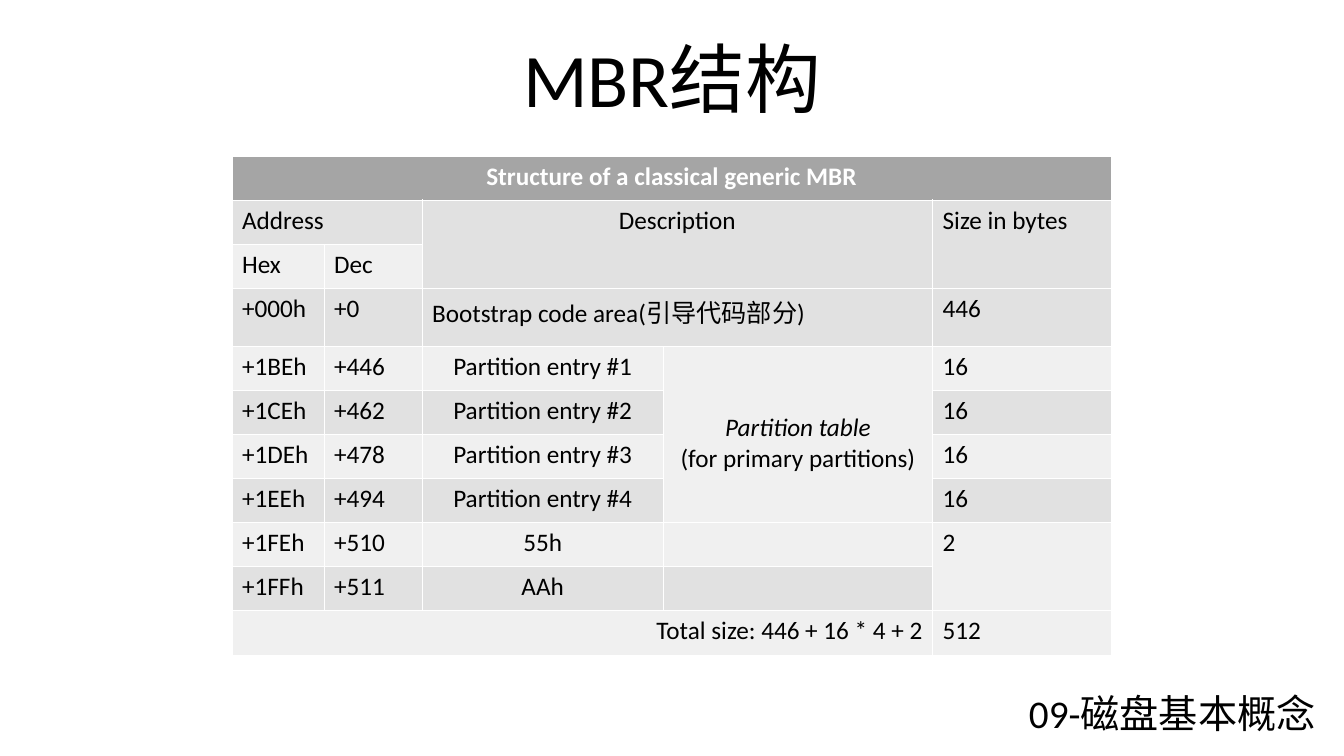
from typing import NamedTuple

from lxml import etree
from pptx import Presentation
from pptx.dml.color import RGBColor
from pptx.enum.text import MSO_ANCHOR, MSO_AUTO_SIZE, PP_ALIGN
from pptx.oxml.ns import qn
from pptx.util import Cm, Pt

LEFT, CENTER, RIGHT = PP_ALIGN.LEFT, PP_ALIGN.CENTER, PP_ALIGN.RIGHT
TOP, BOTTOM = MSO_ANCHOR.TOP, MSO_ANCHOR.BOTTOM
NO_FIT = MSO_AUTO_SIZE.NONE

FONT = "Calibri"
BLACK, WHITE = "000000", "FFFFFF"
HEADER_FILL, ODD_FILL, EVEN_FILL = "A5A5A5", "E1E1E1", "F0F0F0"
THIN, THICK = 0.45, 1.47

COLUMN_WIDTHS = [2.32, 2.47, 6.08, 6.79, 4.5]
ROW_HEIGHT, BOOTSTRAP_HEIGHT = 1.11, 1.46
ROW_COUNT, BOOTSTRAP_ROW = 11, 3


class Caption(NamedTuple):
    text: str
    left: float
    top: float
    width: float
    height: float
    size: int
    anchor: MSO_ANCHOR
    line_spacing: float


class Entry(NamedTuple):
    row: int
    column: int
    text: str
    align: PP_ALIGN = LEFT
    rows: int = 1
    columns: int = 1


CAPTIONS = [
    Caption("09-磁盘基本概念", 25.45, 17.25, 8.2, 1.45, 28, TOP, 1.0),
    Caption("MBR结构", 4.24, 0.62, 25.4, 2.62, 54, BOTTOM, 0.9),
]

# Address, description and size of each region of the record
REGIONS = [
    ("+000h", "+0", "", "446"),
    ("+1BEh", "+446", "Partition entry #1", "16"),
    ("+1CEh", "+462", "Partition entry #2", "16"),
    ("+1DEh", "+478", "Partition entry #3", "16"),
    ("+1EEh", "+494", "Partition entry #4", "16"),
    ("+1FEh", "+510", "55h", ""),
    ("+1FFh", "+511", "AAh", ""),
]
REGION_COLUMNS = [(0, LEFT), (1, LEFT), (2, CENTER), (4, LEFT)]

ENTRIES = [
    Entry(0, 0, "Structure of a classical generic MBR", CENTER, columns=5),
    Entry(1, 0, "Address", columns=2),
    Entry(1, 2, "Description", CENTER, rows=2, columns=2),
    Entry(1, 4, "Size in bytes", rows=2),
    Entry(2, 0, "Hex"),
    Entry(2, 1, "Dec"),
    Entry(3, 2, "Bootstrap code area(引导代码部分)", columns=2),
    Entry(4, 3, "Partition table\n(for primary partitions)", CENTER, rows=4),
    Entry(8, 4, "2", rows=2),
    Entry(10, 0, "Total size: 446 + 16 * 4 + 2", RIGHT, columns=4),
    Entry(10, 4, "512"),
] + [
    Entry(row, column, text, align)
    for row, region in enumerate(REGIONS, BOOTSTRAP_ROW)
    for (column, align), text in zip(REGION_COLUMNS, region)
    if text
]


def rgb(color: str) -> RGBColor:
    return RGBColor.from_string(color)


def style_paragraph(para, size: int, color: str, align: PP_ALIGN) -> None:
    para.alignment = align
    para.font.name = FONT
    para.font.size = Pt(size)
    para.font.color.rgb = rgb(color)


def draw_caption(page, caption: Caption) -> None:
    box = page.shapes.add_textbox(
        Cm(caption.left), Cm(caption.top), Cm(caption.width), Cm(caption.height)
    )
    frame = box.text_frame
    frame.word_wrap = True
    frame.auto_size = NO_FIT
    frame.vertical_anchor = caption.anchor
    para = frame.paragraphs[0]
    para.text = caption.text
    para.line_spacing = caption.line_spacing
    style_paragraph(para, caption.size, BLACK, CENTER)


def set_borders(cell, row: int) -> None:
    """Give the cell white edges, with a thick rule under the header row."""
    widths = {
        "a:lnL": THIN,
        "a:lnR": THIN,
        "a:lnT": THICK if row == 1 else THIN,
        "a:lnB": THICK if row == 0 else THIN,
    }
    properties = cell._tc.get_or_add_tcPr()
    for index, (tag, width) in enumerate(widths.items()):
        line = etree.Element(qn(tag), w=str(int(Pt(width))))
        fill = etree.SubElement(line, qn("a:solidFill"))
        etree.SubElement(fill, qn("a:srgbClr"), val=WHITE)
        properties.insert(index, line)


def fill_entry(table, entry: Entry) -> None:
    cell = table.cell(entry.row, entry.column)
    if entry.rows * entry.columns > 1:
        cell.merge(
            table.cell(entry.row + entry.rows - 1, entry.column + entry.columns - 1)
        )
    cell.text = entry.text
    is_header = entry.row == 0
    for para in cell.text_frame.paragraphs:
        style_paragraph(para, 18, WHITE if is_header else BLACK, entry.align)
        para.font.bold = is_header


def draw_table(page):
    frame = page.shapes.add_table(
        ROW_COUNT, len(COLUMN_WIDTHS), Cm(5.85), Cm(3.94),
        Cm(sum(COLUMN_WIDTHS)), Cm(ROW_HEIGHT * (ROW_COUNT - 1) + BOOTSTRAP_HEIGHT),
    )
    table = frame.table
    for column, width in zip(table.columns, COLUMN_WIDTHS):
        column.width = Cm(width)
    for index, row in enumerate(table.rows):
        row.height = Cm(BOOTSTRAP_HEIGHT if index == BOOTSTRAP_ROW else ROW_HEIGHT)
        color = ODD_FILL if index % 2 else EVEN_FILL
        for cell in row.cells:
            cell.fill.solid()
            cell.fill.fore_color.rgb = rgb(HEADER_FILL if index == 0 else color)
            set_borders(cell, index)
            style_paragraph(cell.text_frame.paragraphs[0], 18, BLACK, LEFT)
    for entry in ENTRIES:
        fill_entry(table, entry)
    return table


def main() -> None:
    deck = Presentation()
    deck.slide_width, deck.slide_height = Cm(33.88), Cm(19.05)
    page = deck.slides.add_slide(deck.slide_layouts[6])

    # Title and chapter name
    for caption in CAPTIONS:
        draw_caption(page, caption)

    # Record layout, with the partition table label lowered in its cell
    table = draw_table(page)
    label = table.cell(4, 3)
    label.margin_top = Cm(1.67)
    label.text_frame.paragraphs[0].font.italic = True

    deck.save("out.pptx")


if __name__ == "__main__":
    main()
